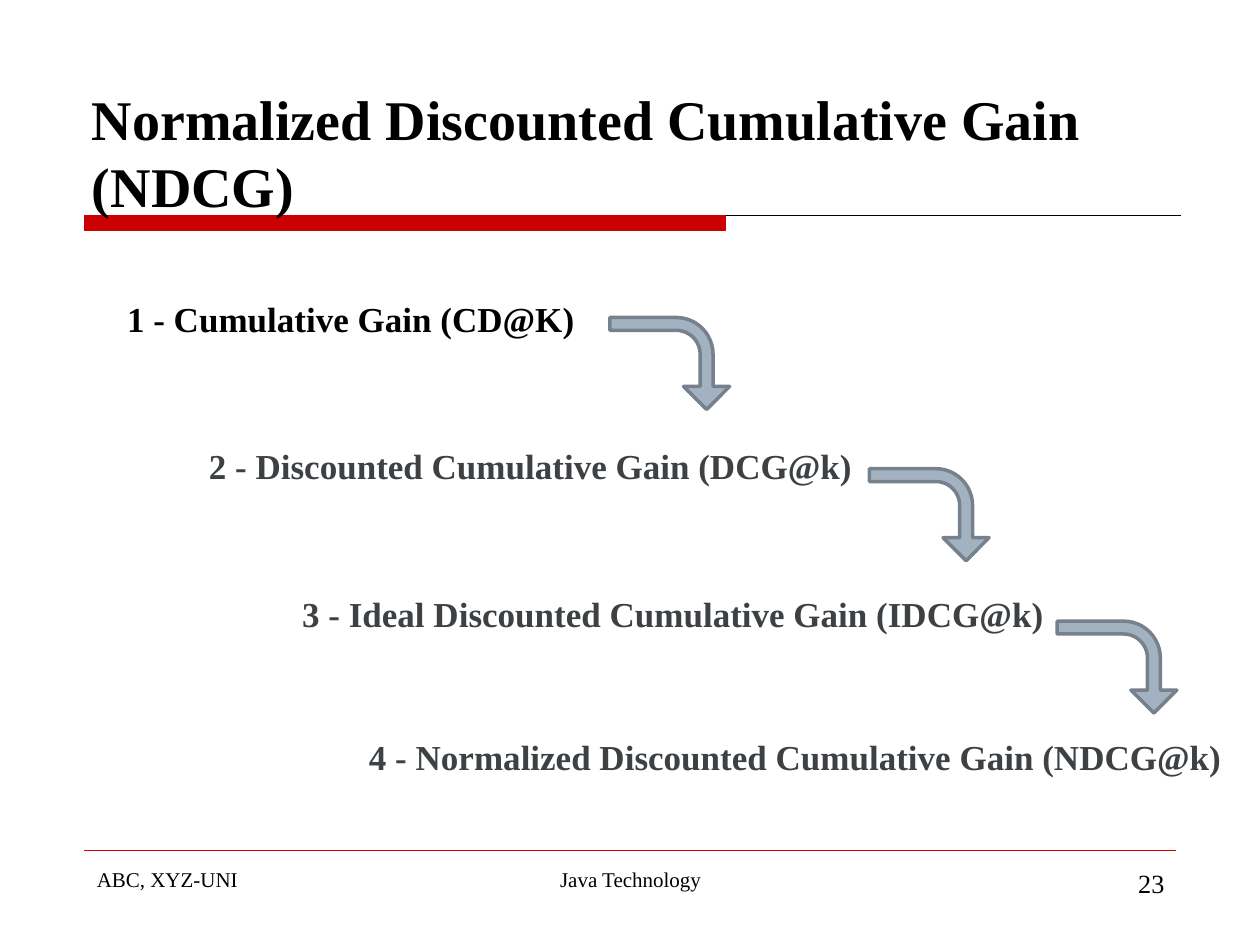
from dataclasses import dataclass

from lxml import etree
from pptx import Presentation
from pptx.dml.color import RGBColor
from pptx.enum.shapes import MSO_CONNECTOR, MSO_SHAPE
from pptx.enum.text import MSO_ANCHOR, MSO_AUTO_SIZE, PP_ALIGN
from pptx.oxml.ns import qn
from pptx.util import Inches, Pt

LEFT, CENTER, RIGHT = PP_ALIGN.LEFT, PP_ALIGN.CENTER, PP_ALIGN.RIGHT
TOP, BOTTOM = MSO_ANCHOR.TOP, MSO_ANCHOR.BOTTOM
RECTANGLE, BENT_ARROW = MSO_SHAPE.RECTANGLE, MSO_SHAPE.BENT_ARROW
STRAIGHT = MSO_CONNECTOR.STRAIGHT
NO_AUTOFIT = MSO_AUTO_SIZE.NONE
TITLE_ONLY = 5


@dataclass(frozen=True)
class Theme:
    font: str = "Times New Roman"
    black: str = "000000"
    gray: str = "3D4144"
    red: str = "CC0000"
    arrow_fill: str = "A3B2C1"
    arrow_line: str = "76818C"
    title_size: int = 32
    step_size: int = 20
    number_size: int = 15
    footer_size: int = 12


THEME = Theme()

STEPS = [
    ("1 - Cumulative Gain (CD@K)", 0.91, 2.31, 3.85, THEME.black),
    ("2 - Discounted Cumulative Gain (DCG@k)", 1.56, 3.48, 5.34, THEME.gray),
    ("3 - Ideal Discounted Cumulative Gain (IDCG@k)", 2.3, 4.65, 6.2, THEME.gray),
    ("4 - Normalized Discounted Cumulative Gain (NDCG@k)", 2.83, 5.79, 7.02, THEME.gray),
]
ARROW_POSITIONS = [(4.95, 2.41), (7.01, 3.61), (8.5, 4.82)]
ARROW_ADJUSTMENTS = (0.14, 0.25, 0.25, 0.4)
FOOTERS = [
    ("ABC, XYZ-UNI", 0.67, 2.17, LEFT, THEME.footer_size),
    ("Java Technology", 3.42, 3.17, CENTER, THEME.footer_size),
    ("23", 7.17, 2.17, RIGHT, THEME.number_size),
]


def place(shape, left, top, width, height):
    shape.left, shape.top = Inches(left), Inches(top)
    shape.width, shape.height = Inches(width), Inches(height)


def write_text(shape, text, *, size, color=THEME.black, bold=False,
               align=LEFT, anchor=TOP):
    frame = shape.text_frame
    frame.word_wrap = True
    frame.auto_size = NO_AUTOFIT
    frame.vertical_anchor = anchor
    paragraph = frame.paragraphs[0]
    paragraph.alignment = align
    run = paragraph.add_run()
    run.text = text
    run.font.name = THEME.font
    run.font.size = Pt(size)
    run.font.bold = bold
    run.font.color.rgb = RGBColor.from_string(color)


def add_label(slide, text, left, top, width, height, **text_format):
    box = slide.shapes.add_textbox(
        Inches(left), Inches(top), Inches(width), Inches(height))
    write_text(box, text, **text_format)


def add_filled_shape(slide, kind, left, top, width, height, fill, line, line_width):
    shape = slide.shapes.add_shape(
        kind, Inches(left), Inches(top), Inches(width), Inches(height))
    shape.shadow.inherit = False
    shape.fill.solid()
    shape.fill.fore_color.rgb = RGBColor.from_string(fill)
    shape.line.color.rgb = RGBColor.from_string(line)
    shape.line.width = Pt(line_width)
    return shape


def add_rule(slide, left, right, top, color):
    rule = slide.shapes.add_connector(
        STRAIGHT, Inches(left), Inches(top), Inches(right), Inches(top))
    rule.line.color.rgb = RGBColor.from_string(color)
    rule.line.width = Pt(0.75)
    etree.SubElement(rule.element.spPr, qn("a:effectLst"))


def add_title(slide, text):
    title = slide.shapes.title
    title.element.getparent().append(title.element)
    place(title, 0.63, 0.46, 9.37, 1.33)
    write_text(title, text, size=THEME.title_size, bold=True, anchor=BOTTOM)


def add_step_arrow(slide, left, top):
    arrow = add_filled_shape(slide, BENT_ARROW, left, top, 0.73, 0.95,
                             THEME.arrow_fill, THEME.arrow_line, 2)
    arrow.rotation = 90
    for index, value in enumerate(ARROW_ADJUSTMENTS):
        arrow.adjustments[index] = value


def main():
    presentation = Presentation()
    presentation.slide_width, presentation.slide_height = Inches(10), Inches(7.5)
    slide = presentation.slides.add_slide(presentation.slide_layouts[TITLE_ONLY])

    add_rule(slide, 0.67, 9.37, 1.71, THEME.black)
    add_filled_shape(slide, RECTANGLE, 0.67, 1.71, 5.09, 0.12,
                     THEME.red, THEME.red, 0.75)
    add_rule(slide, 0.67, 9.33, 6.75, THEME.red)
    add_title(slide, "Normalized Discounted Cumulative Gain (NDCG)")

    for text, left, width, align, size in FOOTERS:
        add_label(slide, text, left, 6.83, width, 0.52, size=size, align=align)
    for text, left, top, width, color in STEPS:
        add_label(slide, text, left, top, width, 0.44,
                  size=THEME.step_size, color=color, bold=True)
    for left, top in ARROW_POSITIONS:
        add_step_arrow(slide, left, top)

    presentation.save("out.pptx")


if __name__ == "__main__":
    main()
